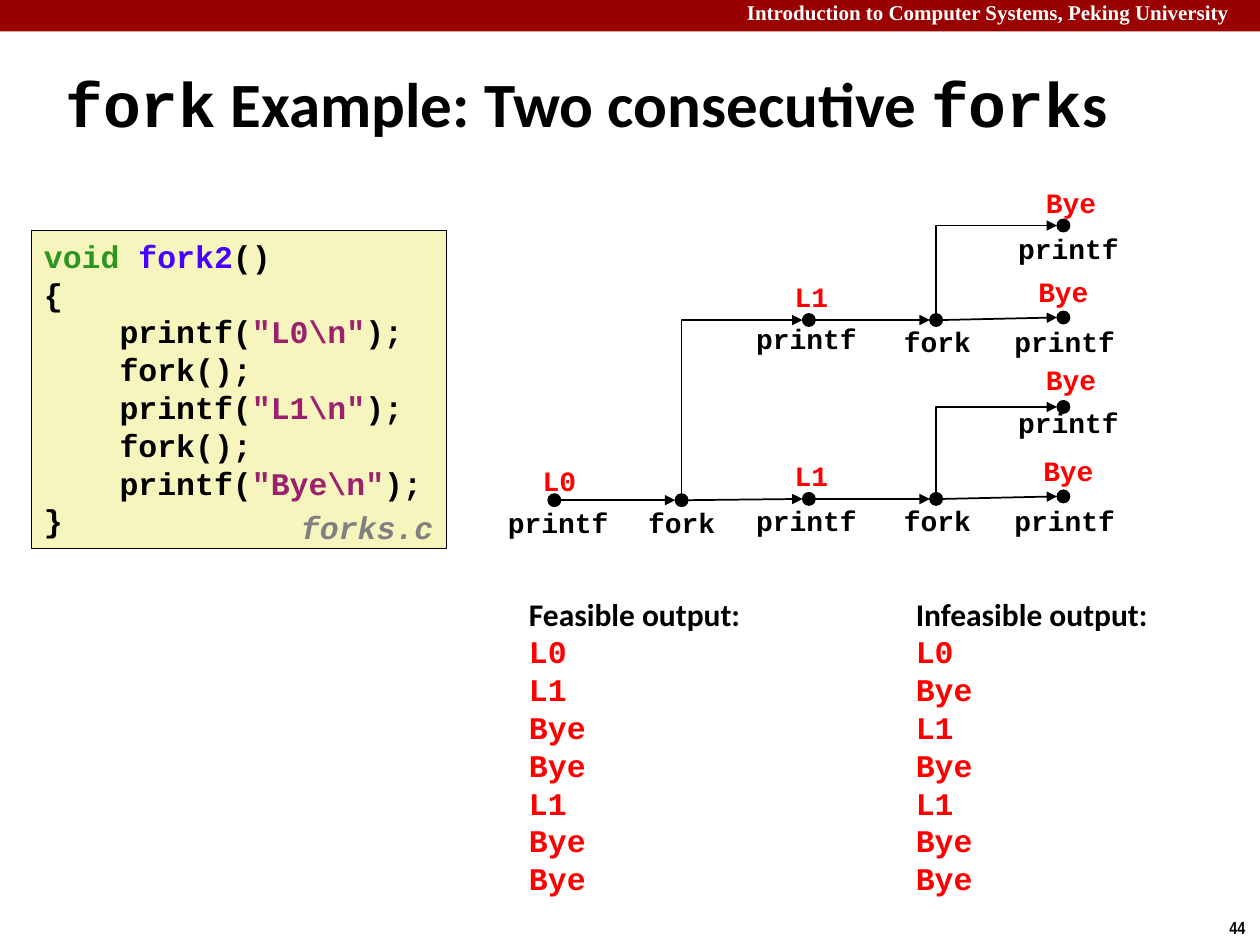
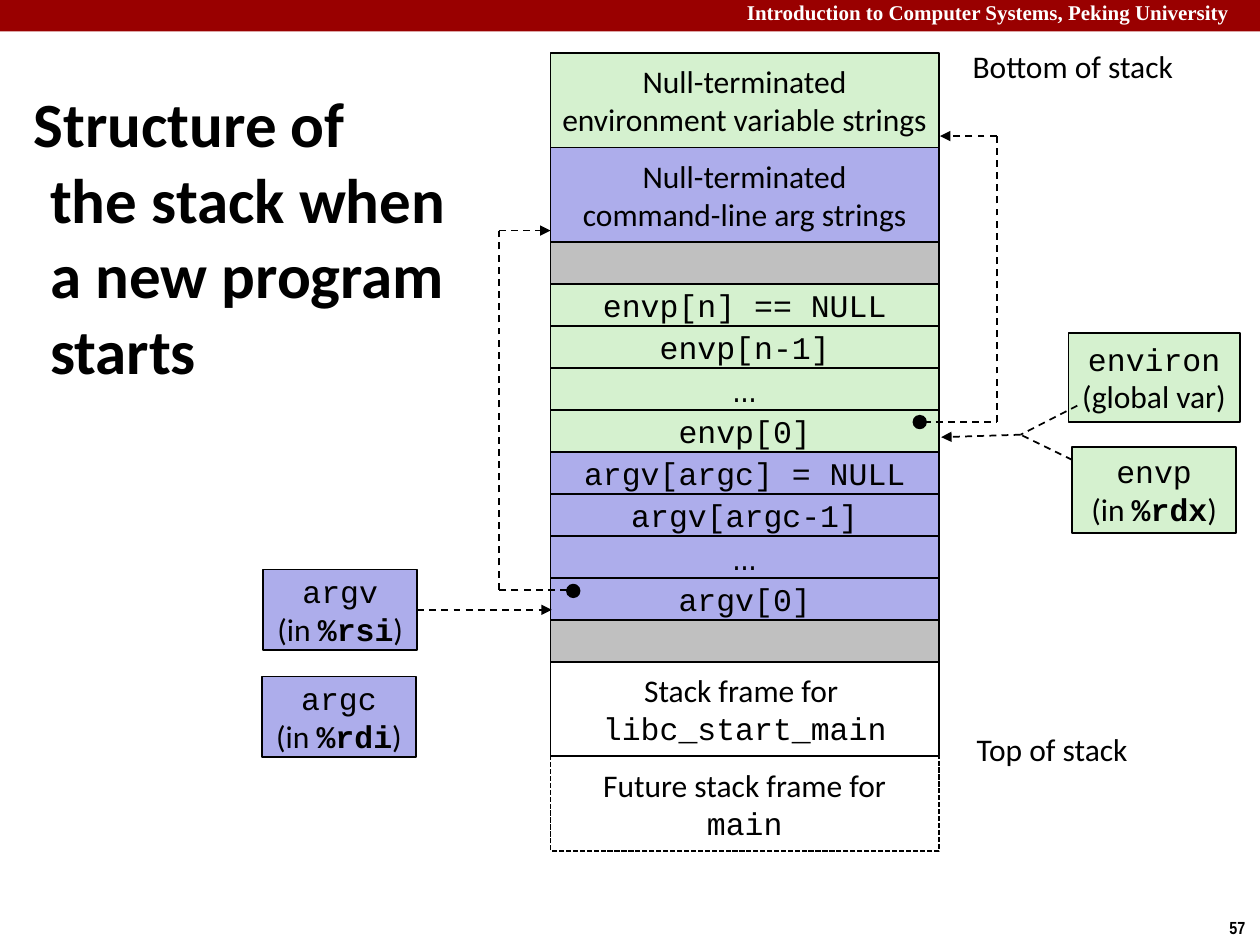
import itertools

import pptx
import pptx.dml.color
import pptx.enum.dml
import pptx.enum.shapes
import pptx.enum.text
import pptx.oxml.ns
import pptx.util
from lxml import etree

Inches = pptx.util.Inches
qn = pptx.oxml.ns.qn
hex_color = pptx.dml.color.RGBColor.from_string
RECTANGLE = pptx.enum.shapes.MSO_SHAPE.RECTANGLE
OVAL = pptx.enum.shapes.MSO_SHAPE.OVAL
DASH = pptx.enum.dml.MSO_LINE.DASH
SYSTEM_DASH = pptx.enum.dml.MSO_LINE.SQUARE_DOT

BLACK, WHITE, RED, GRAY = "000000", "FFFFFF", "FF0000", "808080"
BAND_RED, CODE_YELLOW = "990000", "F6F5BD"
KEYWORD, FUNCTION, STRING = "2D961E", "4A00FF", "9D206F"
GREEN, VIOLET, GAP_GRAY = "D5F1CF", "ADADEB", "C0C0C0"
SANS, MONO, NARROW, SERIF = "Calibri", "Courier New", "Arial Narrow", "Times New Roman"
DOT = 0.1


def add_box(slide, box, paragraphs=(), geometry=None, fill=None, line=None, width=1,
            dash=None, font=SANS, size=18, color=BLACK, bold=False, italic=False,
            center=False, middle=False, wrap=True, hanging=0):
    """Add a text box or preset shape; a paragraph is a list of (text, overrides) runs
    or one string, and the run "\\n" is a line break."""
    bounds = [Inches(length) for length in box]
    if geometry is None:
        shape = slide.shapes.add_textbox(*bounds)
    else:
        shape = slide.shapes.add_shape(geometry, *bounds)
        shape.shadow.inherit = False
        if fill:
            shape.fill.solid()
            shape.fill.fore_color.rgb = hex_color(fill)
        else:
            shape.fill.background()
        if line:
            shape.line.color.rgb = hex_color(line)
            shape.line.width = pptx.util.Pt(width)
            shape.line.dash_style = dash
        else:
            shape.line.fill.background()
    frame = shape.text_frame
    frame.word_wrap = wrap
    anchors = pptx.enum.text.MSO_ANCHOR
    frame.vertical_anchor = anchors.MIDDLE if middle else anchors.TOP
    for index, runs in enumerate(paragraphs):
        paragraph = frame.add_paragraph() if index else frame.paragraphs[0]
        alignments = pptx.enum.text.PP_ALIGN
        paragraph.alignment = alignments.CENTER if center else alignments.LEFT
        if hanging:
            properties = paragraph._p.get_or_add_pPr()
            properties.set("marL", str(Inches(hanging)))
            properties.set("indent", str(-Inches(hanging)))
        for text, changes in [(runs, {})] if isinstance(runs, str) else runs:
            if text == "\n":
                paragraph.add_line_break()
                continue
            run = paragraph.add_run()
            run.text = text
            run.font.name = changes.get("font", font)
            run.font.size = pptx.util.Pt(size)
            run.font.bold = changes.get("bold", bold)
            run.font.italic = italic
            run.font.color.rgb = hex_color(changes.get("color", color))
    return shape


def add_line(slide, start, end, dash=None, arrow=False, elbow=False):
    """Add a connector; an elbow leaves start vertically and reaches end horizontally."""
    kinds = pptx.enum.shapes.MSO_CONNECTOR
    # The two-segment preset runs horizontally first, so an elbow is laid from its end.
    points = (*end, *start) if elbow else (*start, *end)
    connector = slide.shapes.add_connector(
        kinds.ELBOW if elbow else kinds.STRAIGHT, *[Inches(value) for value in points])
    connector.line.color.rgb = hex_color(BLACK)
    connector.line.width = pptx.util.Pt(1)
    connector.line.dash_style = dash
    properties = connector._element.spPr
    if elbow:
        properties.find(qn("a:prstGeom")).set("prst", "bentConnector2")
    if arrow:
        tip = "a:headEnd" if elbow else "a:tailEnd"
        etree.SubElement(properties.find(qn("a:ln")), qn(tip), type="triangle")
    etree.SubElement(properties, qn("a:effectLst"))
    return connector


presentation = pptx.Presentation()
presentation.slide_width = Inches(10)
presentation.slide_height = Inches(7.5)

# Shared band, page number and title
pages = [
    ("44", (0.42, 0.5, 9.33, 0.63),
     [("fork", {"font": MONO}), (" Example: Two consecutive ", {}),
      ("fork", {"font": MONO}), ("s", {})]),
    ("57", (0.17, 0.83, 3.57, 2.08),
     [("Structure of ", {}), ("\n", {}), ("the stack when a new program starts", {})]),
]
slides = []
for number, title_box, title in pages:
    slide = presentation.slides.add_slide(presentation.slide_layouts[6])
    add_box(slide, (0, 0, 10, 0.25), geometry=RECTANGLE, fill=BAND_RED)
    add_box(slide, (5.83, -0.05, 4.17, 0.3),
            ["Introduction to Computer Systems, Peking University"],
            font=SERIF, size=12, color=WHITE, bold=True)
    add_box(slide, (9.66, 7.23, 0.34, 0.27), [number],
            font=NARROW, size=10, bold=True, wrap=False)
    add_box(slide, title_box, [title], size=36, bold=True, middle=True, hanging=0.13)
    slides.append(slide)
fork_slide, stack_slide = slides

# Two consecutive forks: code
code = [[("void ", {"color": KEYWORD}), ("fork2", {"color": FUNCTION}), ("()", {})], "{"]
for message in ("L0", "L1", "Bye"):
    code.append([("    printf(", {}), (f'"{message}\\n"', {"color": STRING}), (");", {})])
    if message != "Bye":
        code.append("    fork();")
code.append("}")
add_box(fork_slide, (0.25, 1.83, 3.29, 2.52), code, geometry=RECTANGLE,
        fill=CODE_YELLOW, line=BLACK, width=0.25, font=MONO, bold=True)
add_box(fork_slide, (2.29, 3.98, 1.32, 0.39), ["forks.c"],
        font=MONO, color=GRAY, bold=True, italic=True)

# Two consecutive forks: process graph
first_x, step = 4.4, 1.01
# column, y, caption, caption centre, caption top, output, output centre, output top
nodes = [
    (0, 3.97, "printf", 4.43, 3.96, "L0", 4.44, 3.63),
    (1, 3.97, "fork", 5.41, 3.96, None, 0, 0),
    (2, 3.96, "printf", 6.4, 3.95, "L1", 6.44, 3.59),
    (3, 3.96, "fork", 7.44, 3.95, None, 0, 0),
    (4, 3.94, "printf", 8.45, 3.95, "Bye", 8.48, 3.55),
    (4, 3.23, "printf", 8.48, 3.17, "Bye", 8.5, 2.83),
    (2, 2.54, "printf", 6.4, 2.5, "L1", 6.44, 2.17),
    (3, 2.54, "fork", 7.44, 2.53, None, 0, 0),
    (4, 2.52, "printf", 8.45, 2.53, "Bye", 8.44, 2.13),
    (4, 1.79, "printf", 8.48, 1.79, "Bye", 8.5, 1.42),
]
centers = []
for column, y, caption, caption_x, caption_top, output, output_x, output_top in nodes:
    x = first_x + step * column
    centers.append((x, y))
    add_box(fork_slide, (x - DOT / 2, y - DOT / 2, DOT, DOT),
            geometry=OVAL, fill=BLACK, line=BLACK, width=0.75)
    labels = [(caption, caption_x, caption_top, BLACK), (output, output_x, output_top, RED)]
    for label, label_x, top, color in labels:
        if label:
            add_box(fork_slide, (label_x - 0.52, top, 1.04, 0.37), [label],
                    font=MONO, size=16, color=color, bold=True, center=True)
for parent, child in [(0, 1), (1, 2), (2, 3), (3, 4), (6, 7), (7, 8)]:
    (x1, y1), (x2, y2) = centers[parent], centers[child]
    add_line(fork_slide, (x1 + DOT / 2, y1), (x2 - DOT / 2, y2), arrow=True)
for parent, child in [(1, 6), (3, 5), (7, 9)]:
    (x1, y1), (x2, y2) = centers[parent], centers[child]
    add_line(fork_slide, (x1, y1 - DOT / 2), (x2 - DOT / 2, y2), arrow=True, elbow=True)

outputs = [
    (4.1, 1.9, "Feasible output:", "L0 L1 Bye Bye L1 Bye Bye"),
    (7.17, 2.07, "Infeasible output:", "L0 Bye L1 Bye L1 Bye Bye"),
]
for left, width, heading, sequence in outputs:
    printed = [[(word, {"font": MONO, "color": RED})] for word in sequence.split()]
    add_box(fork_slide, (left, 4.67, width, 2.52), [heading, *printed], bold=True, wrap=False)

# New program stack: cells from bottom of stack to top
TALL, SHORT = 0.75, 1 / 3
mono = {"font": MONO}
cells = [
    (TALL, GREEN, SANS, ["Null-terminated", "environment variable strings"]),
    (TALL, VIOLET, SANS, ["Null-terminated", "command-line arg strings"]),
    (SHORT, GAP_GRAY, SANS, []),
    (SHORT, GREEN, MONO, ["envp[n] == NULL"]),
    (SHORT, GREEN, MONO, ["envp[n-1]"]),
    (SHORT, GREEN, NARROW, ["..."]),
    (SHORT, GREEN, MONO, ["envp[0]"]),
    (SHORT, VIOLET, MONO, ["argv[argc] = NULL"]),
    (SHORT, VIOLET, MONO, ["argv[argc-1]"]),
    (SHORT, VIOLET, NARROW, ["..."]),
    (SHORT, VIOLET, MONO, ["argv[0]"]),
    (SHORT, GAP_GRAY, SANS, []),
    (TALL, None, SANS, ["Stack frame for ", [("libc_start_main", mono)]]),
    (TALL, None, SANS, ["Future stack frame for", [("main", mono)]]),
]
top = 0.42
for index, (height, fill, font, text) in enumerate(cells):
    future = index == len(cells) - 1
    add_box(stack_slide, (4.37, top, 3.08, height), text, geometry=RECTANGLE, fill=fill,
            line=BLACK, dash=SYSTEM_DASH if future else None, font=font,
            size=20 if font == NARROW else 18, center=True, middle=True, wrap=False)
    top += height
for box, text in [((7.6, 0.32, 1.83, 0.4), "Bottom of stack"),
                  ((7.63, 5.74, 1.44, 0.4), "Top of stack")]:
    add_box(stack_slide, box, [text], center=True, middle=True, wrap=False)

# New program stack: pointers from the arrays to the strings
routes = [
    [(4.5, 4.68), (3.96, 4.68), (3.96, 1.83), (4.37, 1.83)],
    [(7.33, 3.35), (7.91, 3.35), (7.91, 1.08), (7.46, 1.08)],
]
for route in routes:
    for start, end in itertools.pairwise(route):
        add_line(stack_slide, start, end, dash=DASH, arrow=end == route[-1])
for left, top in [(4.5, 4.64), (7.25, 3.3)]:
    add_box(stack_slide, (left, top, DOT, DOT), geometry=OVAL, fill=BLACK, line=BLACK)

# New program stack: variables and the arrays they refer to
variables = [
    ((8.48, 2.64, 1.36, 0.71), GREEN, "environ", [("(global var)", {})]),
    ((8.51, 3.55, 1.3, 0.68), GREEN, "envp", "%rdx"),
    ((2.08, 5.37, 1.22, 0.64), VIOLET, "argc", "%rdi"),
    ((2.09, 4.52, 1.22, 0.64), VIOLET, "argv", "%rsi"),
]
variable_boxes = {}
for box, fill, name, place in variables:
    if isinstance(place, str):
        place = [("(in ", {}), (place, {"font": MONO, "bold": True}), (")", {})]
    variable_boxes[name] = add_box(
        stack_slide, box, [[(name, mono)], place], geometry=RECTANGLE, fill=fill,
        line=BLACK, center=True, middle=True, wrap=False)
junction = (8.1, 3.45)
add_line(stack_slide, (8.55, 3.22), junction, dash=DASH)
add_line(stack_slide, (8.51, 3.65), junction, dash=DASH)
add_line(stack_slide, junction, (7.47, 3.47), dash=DASH, arrow=True)
argv_line = add_line(stack_slide, (3.31, 4.84), (4.38, 4.84), dash=DASH, arrow=True)
argv_line.begin_connect(variable_boxes["argv"], 3)

presentation.save("out.pptx")
